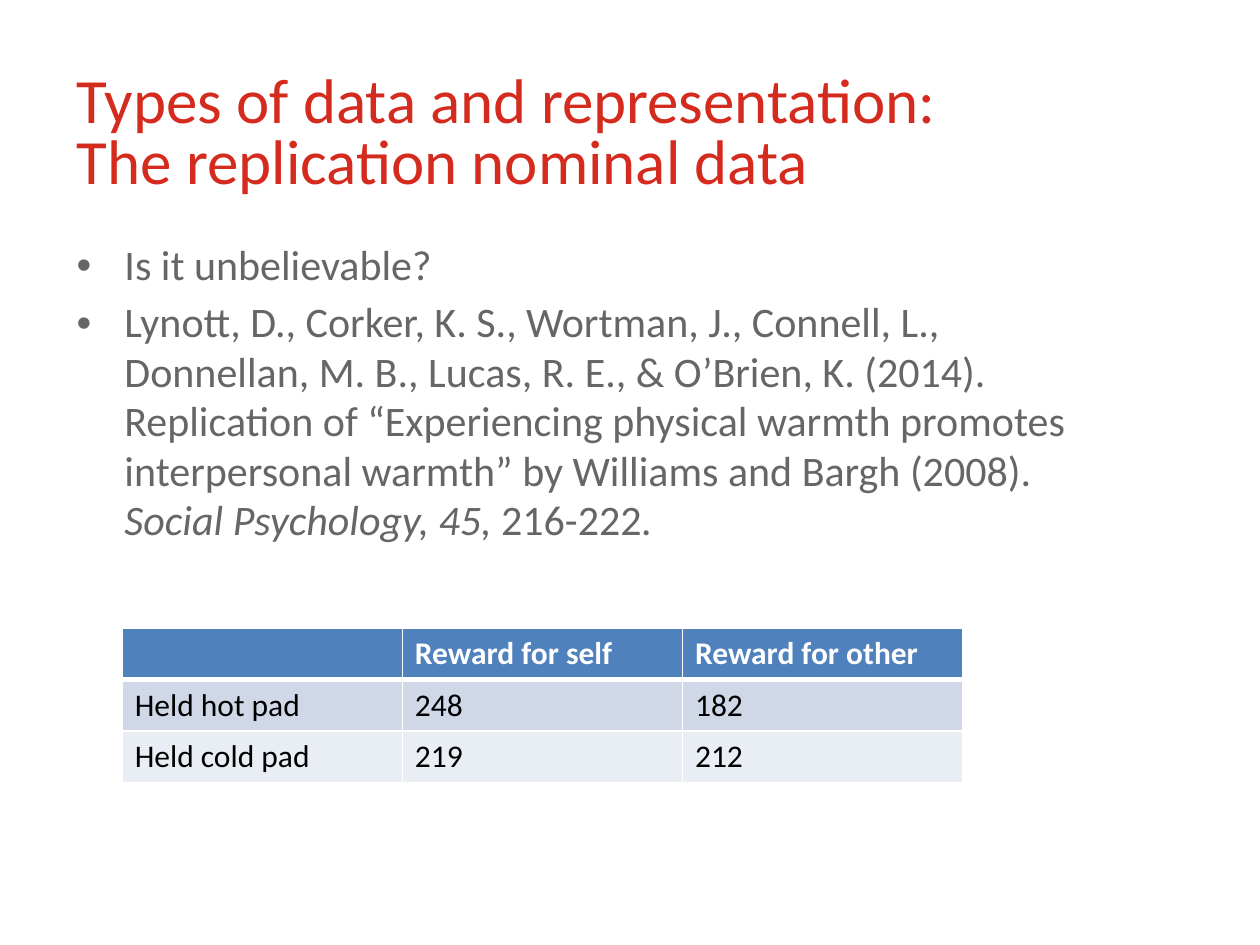
import pptx
import pptx.util
import pptx.dml.color
import pptx.enum.text
import pptx.oxml
import pptx.oxml.ns
from lxml import etree

WIDTH, HEIGHT = 10, 7.5
FONT = "Calibri"
RED, GREY, WHITE, BLACK = "D52B1E", "666666", "FFFFFF", "000000"
ROW_FILLS = ["4F81BD", "D0D8E8", "E9EDF4"]
LEFT = 0.051
TITLE_LINES = ["Types of data and representation:", "The replication nominal data"]
BULLETS = [
    [("Is it unbelievable?", False)],
    [
        ("Lynott, D., Corker, K. S., Wortman, J., Connell, L., Donnellan, M. B., "
         "Lucas, R. E., & O’Brien, K. (2014). Replication of “Experiencing physical "
         "warmth promotes interpersonal warmth” by Williams and Bargh (2008). ", False),
        ("Social Psychology, 45, ", True),
        ("216-222", False),
        (".", True),
    ],
]
REWARDS = [
    ["", "Reward for self", "Reward for other"],
    ["Held hot pad", "248", "182"],
    ["Held cold pad", "219", "212"],
]


def rgb(value):
    return pptx.dml.color.RGBColor.from_string(value)


def box(x, y, w, h):
    return [pptx.util.Inches(share * side)
            for share, side in zip((x, y, w, h), (WIDTH, HEIGHT) * 2)]


def add_run(p, text, size, color, bold=False, italic=False):
    r = p.add_run()
    r.text = text
    r.font.name = FONT
    r.font.size = pptx.util.Pt(size)
    r.font.color.rgb = rgb(color)
    r.font.bold = bold
    r.font.italic = italic


def set_bullet(p, indent):
    pPr = p._p.get_or_add_pPr()
    pPr.set("marL", str(pptx.util.Inches(indent)))
    pPr.set("indent", str(-pptx.util.Inches(indent)))
    font = etree.SubElement(pPr, pptx.oxml.ns.qn("a:buFont"))
    font.set("typeface", "Arial")
    etree.SubElement(pPr, pptx.oxml.ns.qn("a:buChar")).set("char", "•")


def set_border(cell, side, width):
    tcPr = cell._tc.get_or_add_tcPr()
    line = etree.SubElement(tcPr, pptx.oxml.ns.qn(f"a:ln{side}"))
    line.set("w", str(pptx.util.Pt(width)))
    fill = etree.SubElement(line, pptx.oxml.ns.qn("a:solidFill"))
    etree.SubElement(fill, pptx.oxml.ns.qn("a:srgbClr")).set("val", WHITE)


def add_title(s):
    sp = s.shapes.title
    sp.left, sp.top, sp.width, sp.height = box(LEFT, 0.07, 0.797, 0.168)
    tf = sp.text_frame
    tf.vertical_anchor = pptx.enum.text.MSO_ANCHOR.TOP
    tf.margin_top = pptx.util.Inches(0.07)
    p = tf.paragraphs[0]
    p.alignment = pptx.enum.text.PP_ALIGN.LEFT
    p.line_spacing = pptx.util.Pt(35)
    for i, line in enumerate(TITLE_LINES):
        if i:
            p.add_line_break()
        add_run(p, line, 36, RED)


def add_bullets(s):
    tf = s.shapes.add_textbox(*box(LEFT, 0.248, 0.83, 0.645)).text_frame
    tf.word_wrap = True
    for i, runs in enumerate(BULLETS):
        p = tf.add_paragraph() if i else tf.paragraphs[0]
        p.line_spacing = 0.98
        p.space_before = pptx.util.Pt(4.8 if i else 0)
        set_bullet(p, 0.38)
        for text, italic in runs:
            add_run(p, text, 24, GREY, italic=italic)


def add_rewards(s):
    frame = s.shapes.add_table(len(REWARDS), len(REWARDS[0]),
                               *box(0.097, 0.665, 0.667, 0.163))
    for i, row in enumerate(REWARDS):
        header = i == 0
        for j, text in enumerate(row):
            cell = frame.table.cell(i, j)
            for side in "LRTB":
                thick = (header and side == "B") or (i == 1 and side == "T")
                set_border(cell, side, 3 if thick else 1)
            cell.fill.solid()
            cell.fill.fore_color.rgb = rgb(ROW_FILLS[i])
            if text:
                add_run(cell.text_frame.paragraphs[0], text, 18,
                        WHITE if header else BLACK, bold=header)


def main():
    prs = pptx.Presentation()
    prs.slide_width = pptx.util.Inches(WIDTH)
    prs.slide_height = pptx.util.Inches(HEIGHT)
    s = prs.slides.add_slide(prs.slide_layouts[5])
    add_rewards(s)
    add_bullets(s)
    add_title(s)
    prs.save("out.pptx")


if __name__ == "__main__":
    main()
